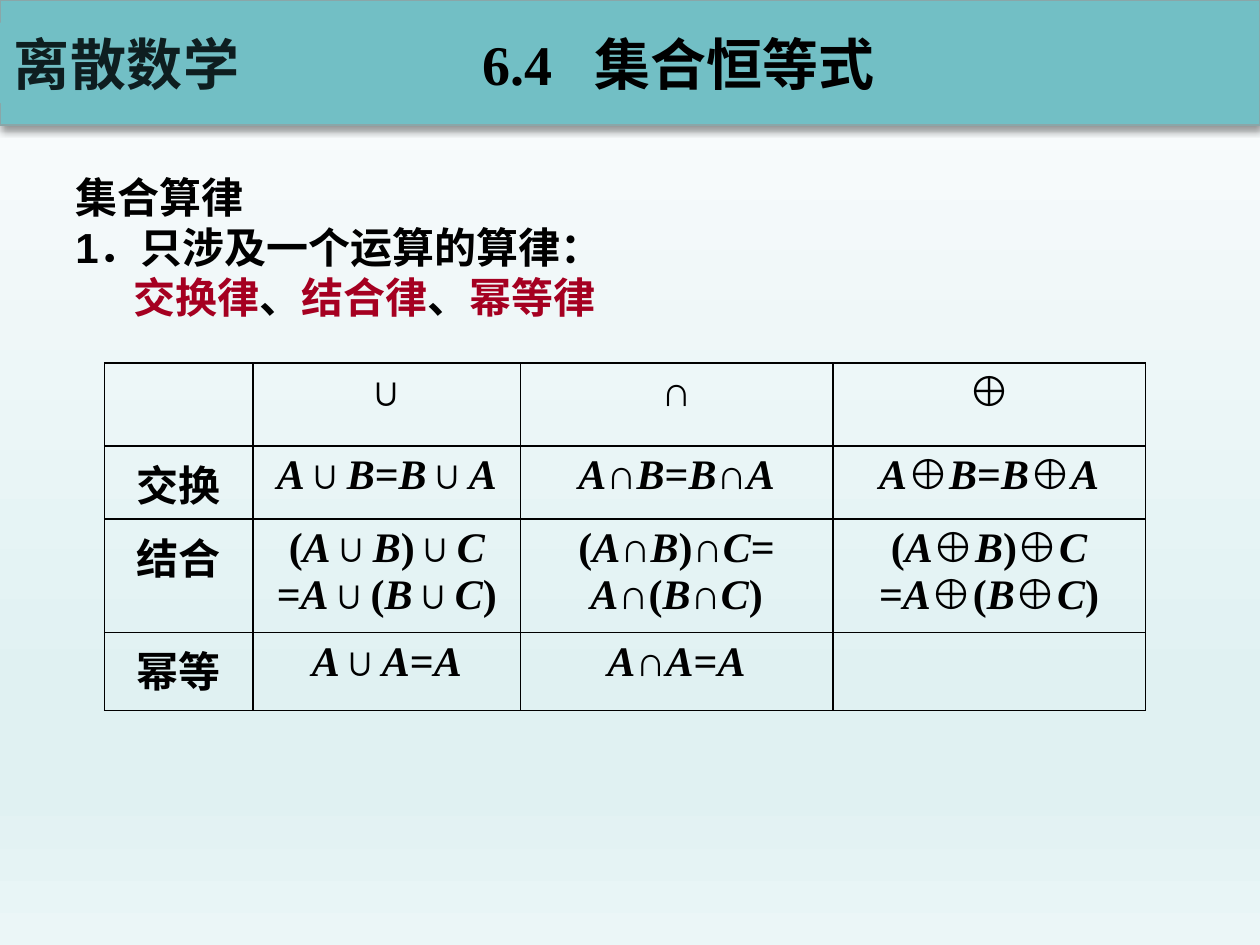
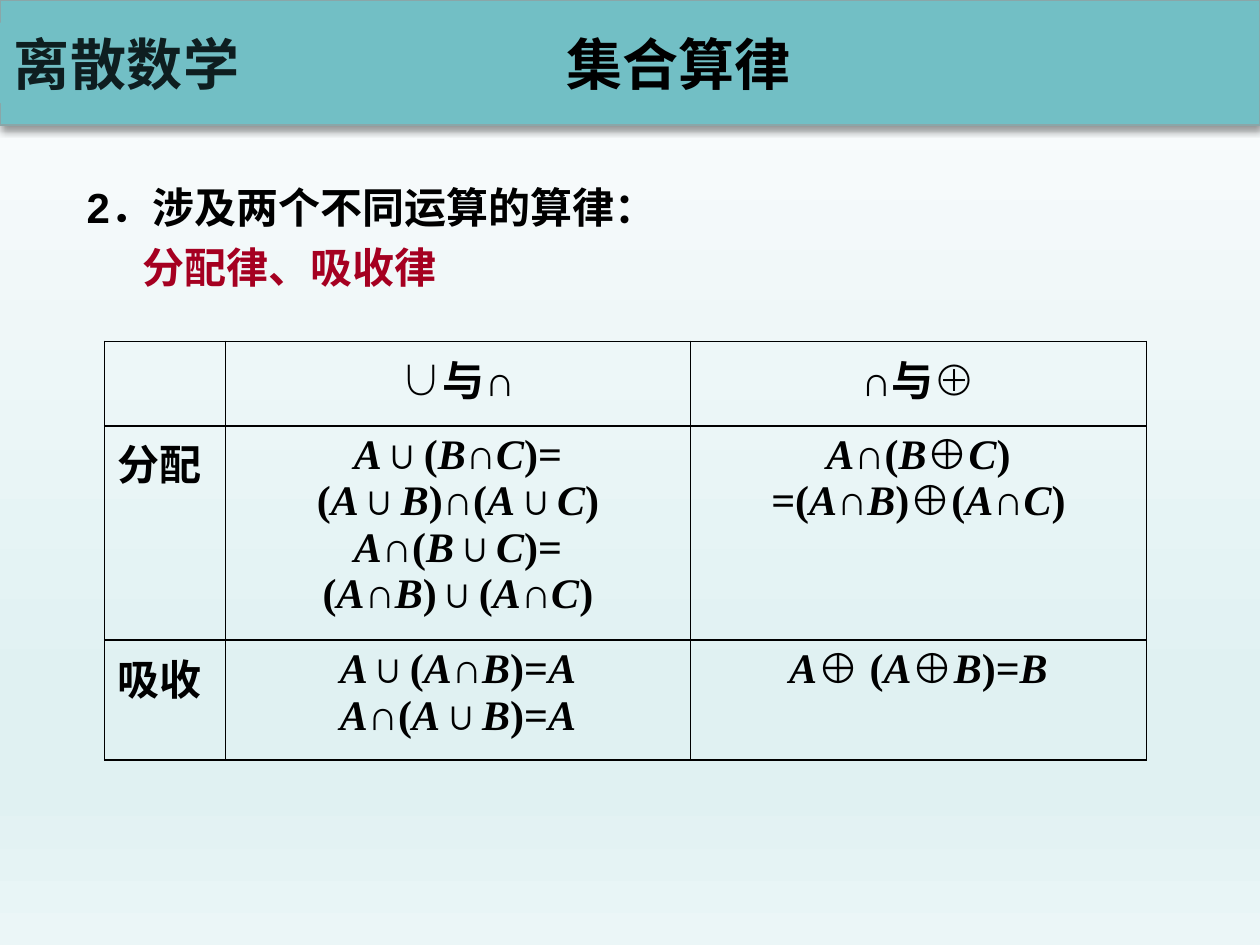
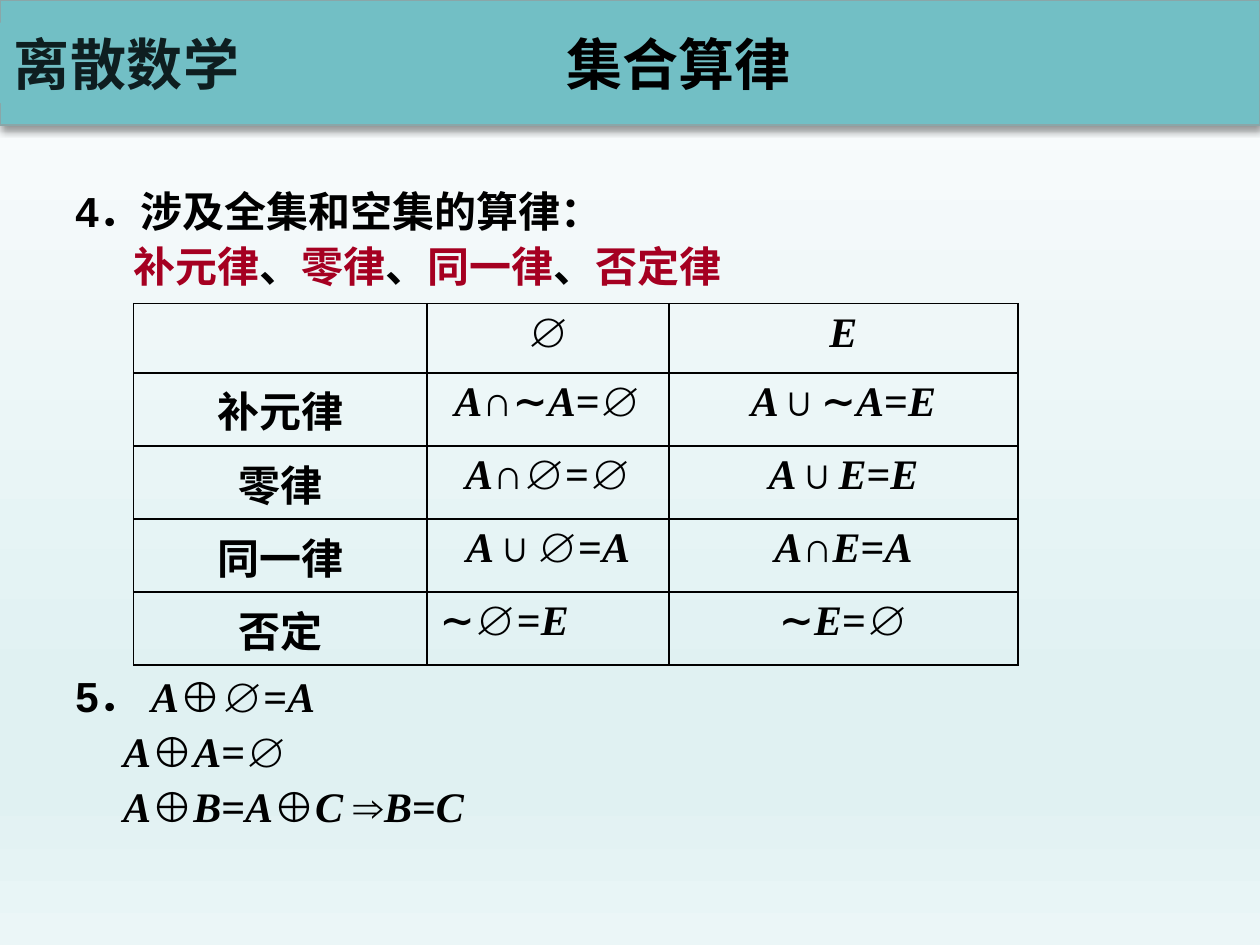
from dataclasses import dataclass
from itertools import groupby

from lxml import etree
from pptx import Presentation
from pptx.dml.color import RGBColor
from pptx.enum.shapes import MSO_SHAPE
from pptx.enum.text import MSO_ANCHOR, PP_ALIGN
from pptx.oxml.ns import qn
from pptx.util import Inches, Pt

RECT = MSO_SHAPE.RECTANGLE
MIDDLE = MSO_ANCHOR.MIDDLE
LEFT, CENTER = PP_ALIGN.LEFT, PP_ALIGN.CENTER


@dataclass(frozen=True)
class Theme:
    band: str = "72BFC5"
    band_line: str = "8AA6A8"
    course: str = "0E1E20"
    ink: str = "000000"
    accent: str = "A50021"
    backdrop: tuple = ((0, "FCFDFE"), (74, "E0F1F2"), (83, "E0F1F2"), (100, "EBF6F7"))
    sans: str = "Arial"
    serif: str = "Times New Roman"
    han: str = "Noto Sans CJK SC"
    title_size: float = 32
    body_size: float = 24
    space_before: float = 5.5


T = Theme()


def sub(parent, tag, **attrs):
    return etree.SubElement(parent, qn(tag), {k: str(v) for k, v in attrs.items()})


def add_run(p, text, font, size=T.body_size, color=T.ink, italic=False, spacing=0):
    r = p.add_run()
    r.text = text
    r.font.name = font
    r.font.size = Pt(size)
    r.font.bold = True
    r.font.italic = italic
    r.font.color.rgb = RGBColor.from_string(color)
    rPr = r.font._element
    sub(rPr, "a:ea", typeface=font)
    if spacing:
        rPr.set("spc", str(int(spacing * 100)))


def char_style(ch):
    if ch in "ABCE":
        return T.serif, True
    if "一" <= ch <= "鿿":
        return T.han, False
    return (T.sans if ch in "5．⇒" else T.serif), False


def add_formula(p, text):
    for (font, italic), chars in groupby(text, char_style):
        add_run(p, "".join(chars), font, italic=italic)


def add_laws(p, text, separator_color):
    for is_separator, chars in groupby(text, lambda ch: ch == "、"):
        add_run(p, "".join(chars), T.sans, color=separator_color if is_separator else T.accent)


def paragraphs(tf, count):
    return [tf.paragraphs[0]] + [tf.add_paragraph() for _ in range(count - 1)]


def text_box(s, box):
    tf = s.shapes.add_textbox(*map(Inches, box)).text_frame
    tf.word_wrap = True
    return tf


def body_box(s, box, indents, line_spacing):
    ps = paragraphs(text_box(s, box), len(indents))
    for i, (p, indent) in enumerate(zip(ps, indents)):
        p._p.get_or_add_pPr().set("marL", str(Inches(indent)))
        p.line_spacing = line_spacing
        if i:
            p.space_before = Pt(T.space_before)
    return ps


def set_backdrop(prs):
    master = prs.slide_master
    fill = master.background.fill
    fill.gradient()
    fill.gradient_angle = 270
    stops = master.element.find(".//" + qn("a:gsLst"))
    for stop in list(stops):
        stops.remove(stop)
    for position, color in T.backdrop:
        sub(sub(stops, "a:gs", pos=position * 1000), "a:srgbClr", val=color)


def band_shape(s, box):
    shape = s.shapes.add_shape(RECT, *map(Inches, box))
    shape.shadow.inherit = False
    shape.fill.solid()
    shape.fill.fore_color.rgb = RGBColor.from_string(T.band)
    return shape


def header(s, box):
    x, y, w, h = box
    band = band_shape(s, box)
    band.line.color.rgb = RGBColor.from_string(T.band_line)
    band.line.width = Pt(1)
    effects = band._element.spPr.find(qn("a:effectLst"))
    shadow = sub(effects, "a:outerShdw", blurRad=Pt(4), dist=Pt(3), dir=5400000, rotWithShape=0)
    sub(sub(shadow, "a:srgbClr", val="000000"), "a:alpha", val=40000)

    course = band_shape(s, (x, y + 0.18, 2.01, 0.64))
    course.line.fill.background()
    tf = course.text_frame
    tf.word_wrap = True
    tf.vertical_anchor = MIDDLE
    p = tf.paragraphs[0]
    p.alignment = CENTER
    add_run(p, "离散数学", T.han, T.title_size, T.course, spacing=0.5)

    tf = text_box(s, (x + 2.04, y + 0.27, 6.69, 0.46))
    tf.vertical_anchor = MIDDLE
    p = tf.paragraphs[0]
    p.alignment = CENTER
    return p


def new_slide(prs, title, number=""):
    s = prs.slides.add_slide(prs.slide_layouts[6])
    p = header(s, (0, 0, 10, 0.99))
    if number:
        add_run(p, number, T.serif, T.title_size)
        add_run(p, " ", T.serif, T.title_size, spacing=16)
    add_run(p, title, T.sans, T.title_size)
    return s


def border_cell(cell):
    tcPr = cell._tc.get_or_add_tcPr()
    for side in ("a:lnL", "a:lnR", "a:lnT", "a:lnB"):
        sub(sub(sub(tcPr, side, w=Pt(1)), "a:solidFill"), "a:srgbClr", val=T.ink)
    cell.fill.background()


def law_table(s, origin, widths, heights, rows, left_cells=()):
    size = sum(widths), sum(heights)
    frame = s.shapes.add_table(len(rows), len(widths), *map(Inches, origin + size))
    table = frame.table
    table.first_row = table.horz_banding = False
    for column, width in zip(table.columns, widths):
        column.width = Inches(width)
    for i, (row, height) in enumerate(zip(rows, heights)):
        table.rows[i].height = Inches(height)
        for j, text in enumerate(row):
            cell = table.cell(i, j)
            border_cell(cell)
            lines = text.split("\n")
            for p, line in zip(paragraphs(cell.text_frame, len(lines)), lines):
                p.alignment = LEFT if (i, j) in left_cells else CENTER
                add_formula(p, line)


def one_operation_slide(prs):
    s = new_slide(prs, "集合恒等式", "6.4")
    heading, topic, laws = body_box(s, (0.5, 1.39, 9, 1.26), (0, 0, 0.46), 0.8)
    add_run(heading, "集合算律", T.sans)
    add_run(topic, "1．只涉及一个运算的算律：", T.sans)
    add_laws(laws, "交换律、结合律、幂等律", T.ink)
    law_table(s, (0.83, 2.88), (1.18, 2.12, 2.48, 2.48), (0.66, 0.58, 0.84, 0.62), [
        ("", "∪", "∩", "⊕"),
        ("交换", "A∪B=B∪A", "A∩B=B∩A", "A⊕B=B⊕A"),
        ("结合", "(A∪B)∪C\n=A∪(B∪C)", "(A∩B)∩C=\nA∩(B∩C)", "(A⊕B)⊕C\n=A⊕(B⊕C)"),
        ("幂等", "A∪A=A", "A∩A=A", ""),
    ])


def two_operations_slide(prs):
    s = new_slide(prs, "集合算律")
    topic, laws = body_box(s, (0.5, 1.39, 9, 1.02), (0.09, 0.53), 1.0)
    add_run(topic, "2．涉及两个不同运算的算律：", T.sans)
    add_laws(laws, "分配律、吸收律", T.accent)
    law_table(s, (0.83, 2.71), (0.96, 3.69, 3.62), (0.67, 1.58, 0.95), [
        ("", "∪与∩", "∩与⊕"),
        ("分配", "A∪(B∩C)=\n(A∪B)∩(A∪C)\nA∩(B∪C)=\n(A∩B)∪(A∩C)",
         "A∩(B⊕C)\n=(A∩B)⊕(A∩C)"),
        ("吸收", "A∪(A∩B)=A\nA∩(A∪B)=A", "A⊕ (A⊕B)=B"),
    ], left_cells={(1, 0), (2, 0)})


def universal_and_empty_slide(prs):
    s = new_slide(prs, "集合算律")
    topic, laws = body_box(s, (0.5, 1.47, 9, 0.94), (0, 0.46), 0.9)
    add_run(topic, "4．涉及全集和空集的算律：", T.sans)
    add_laws(laws, "补元律、零律、同一律、否定律", T.ink)
    law_table(s, (1.06, 2.41), (2.33, 1.92, 2.77), (0.55,) + (0.58,) * 4, [
        ("", "∅", "E"),
        ("补元律", "A∩∼A=∅", "A∪∼A=E"),
        ("零律", "A∩∅=∅", "A∪E=E"),
        ("同一律", "A∪∅=A", "A∩E=A"),
        ("否定", "∼∅=E", "∼E=∅"),
    ], left_cells={(4, 1)})
    formulas = ("5． A⊕∅=A", "A⊕A=∅", "A⊕B=A⊕C ⇒B=C")
    for p, formula in zip(body_box(s, (0.5, 5.32, 9, 0.94), (0, 0.38, 0.38), 0.9), formulas):
        add_formula(p, formula)


def main():
    prs = Presentation()
    prs.slide_width, prs.slide_height = Inches(10), Inches(7.5)
    set_backdrop(prs)
    one_operation_slide(prs)
    two_operations_slide(prs)
    universal_and_empty_slide(prs)
    prs.save("out.pptx")


if __name__ == "__main__":
    main()
